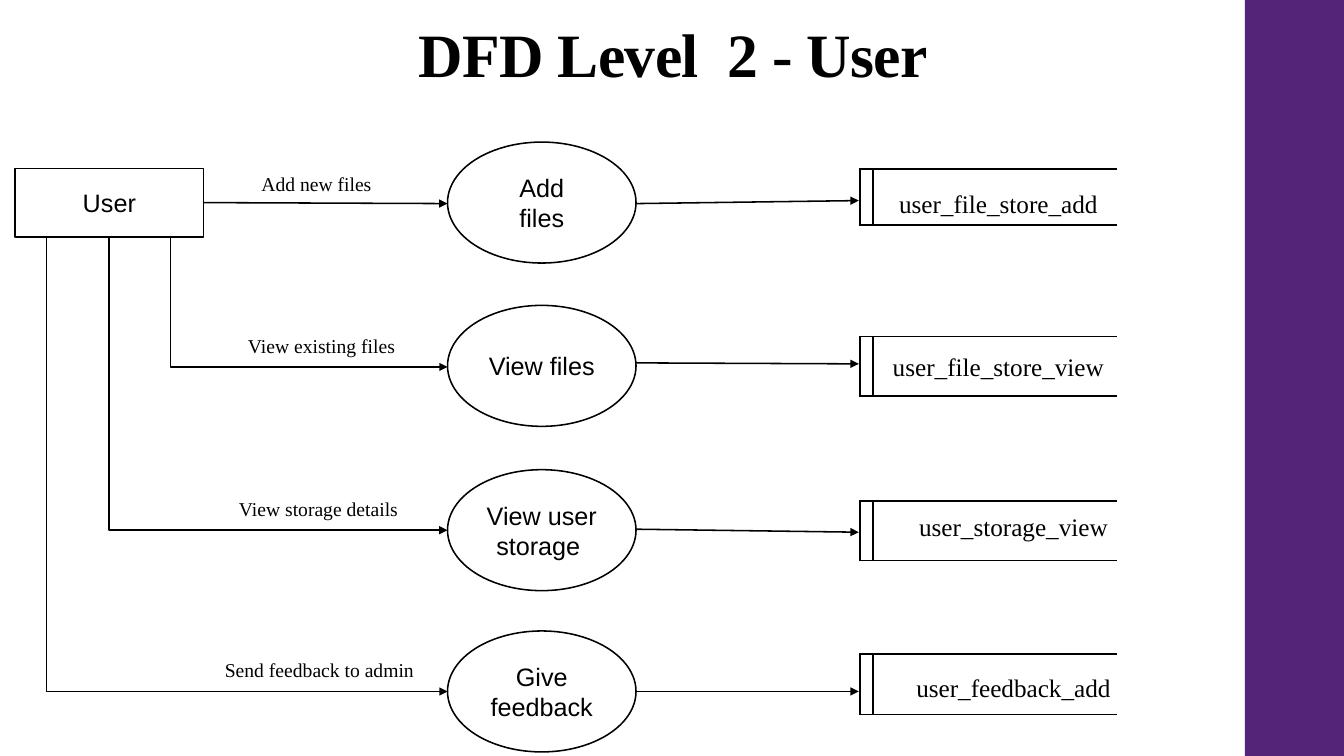
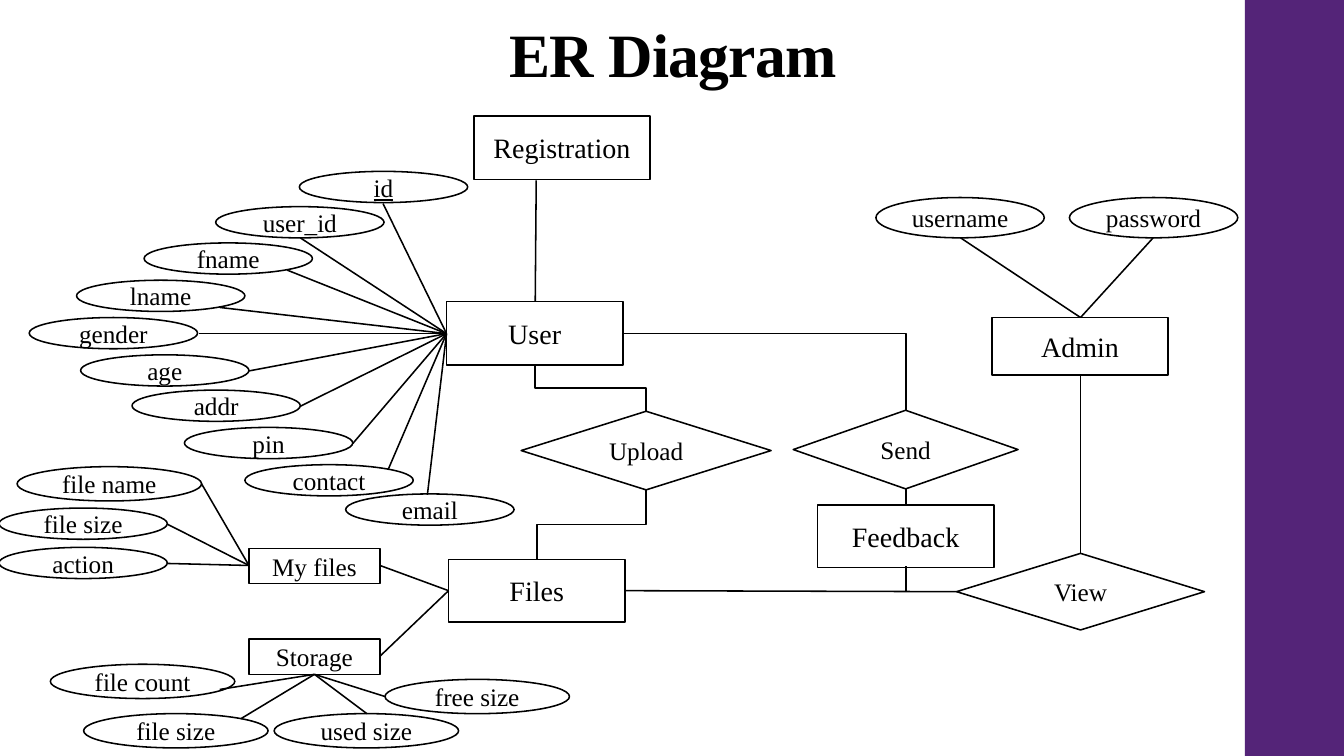
import pptx
import pptx.util
import pptx.dml.color
import pptx.enum.shapes
import pptx.enum.text
import pptx.oxml.ns
import lxml.etree

rgb = pptx.dml.color.RGBColor.from_string
qn = pptx.oxml.ns.qn
Pt = pptx.util.Pt
MSO = pptx.enum.shapes.MSO_SHAPE
ALIGN = pptx.enum.text.PP_ALIGN
ANCHOR = pptx.enum.text.MSO_ANCHOR
SERIF, SANS = "Times New Roman", "Arial"
BLACK, WHITE, PURPLE = "000000", "FFFFFF", "542478"
LINE_WIDTH = Pt(1.1)

prs = pptx.Presentation()
prs.slide_width = pptx.util.Emu(12192000)
prs.slide_height = pptx.util.Inches(7.5)
cell = prs.slide_height / 75
columns = prs.slide_width / cell


def node(s, kind, text, x, y, w, h, size=18, font=SERIF):
    box = [int(v * cell) for v in (x, y, w, h)]
    if kind is None:
        sp = s.shapes.add_textbox(*box)
    else:
        sp = s.shapes.add_shape(kind, *box)
        sp.shadow.inherit = False
        sp.fill.solid()
        sp.fill.fore_color.rgb = rgb(WHITE)
        sp.line.color.rgb = rgb(BLACK)
        sp.line.width = LINE_WIDTH
    tf = sp.text_frame
    tf.text = text
    frame = {"word_wrap": True, "vertical_anchor": ANCHOR.MIDDLE,
             "margin_left": 0, "margin_right": 0}
    for key, value in frame.items():
        setattr(tf, key, value)
    for p in tf.paragraphs:
        p.alignment = ALIGN.CENTER
        for r in p.runs:
            for key, value in {"name": font, "size": Pt(size)}.items():
                setattr(r.font, key, value)
            r.font.color.rgb = rgb(BLACK)
    return sp


def link(s, x1, y1, x2, y2, arrow=False, route="line", down=False):
    ends = x1, y1, x2, y2
    side = 1 if x2 > x1 else -1
    if down:
        cx, cy = (x1 + x2) / 2, (y1 + y2) / 2
        dx, dy = side * (y2 - y1) / 2, abs(x2 - x1) / 2
        ends = cx + dx, cy - dy, cx - dx, cy + dy
    c = s.shapes.add_connector(pptx.enum.shapes.MSO_CONNECTOR.STRAIGHT,
                               *[int(v * cell) for v in ends])
    c.line.color.rgb = rgb(BLACK)
    c.line.width = LINE_WIDTH
    pr = c.element.spPr
    pr.find(qn("a:prstGeom")).set("prst", route)
    if down:
        pr.find(qn("a:xfrm")).set("rot", str((270 if side > 0 else 90) * 60000))
    if arrow:
        lxml.etree.SubElement(pr.find(qn("a:ln")), qn("a:tailEnd"), type="triangle")
    lxml.etree.SubElement(pr, qn("a:effectLst"))


layout = prs.slide_layouts[5]
title = layout.placeholders[0]
place = {"left": 13.8, "top": 0.6, "width": 106, "height": 8.9}
for key, value in place.items():
    setattr(title, key, int(value * cell))
title.text_frame.vertical_anchor = ANCHOR.BOTTOM
title.text_frame.auto_size = pptx.enum.text.MSO_AUTO_SIZE.NONE

slides = []
for heading in ("DFD Level  2 - User", "ER Diagram"):
    s = prs.slides.add_slide(layout)
    s.shapes.title.text_frame.text = heading
    p = s.shapes.title.text_frame.paragraphs[0]
    p.alignment = ALIGN.CENTER
    p.line_spacing = 0.9
    r = p.runs[0]
    for key, value in {"name": SERIF, "size": Pt(44), "bold": True}.items():
        setattr(r.font, key, value)
    r.font.color.rgb = rgb(BLACK)
    r.font._element.set("spc", "-50")
    slides.append(s)
dfd, er = slides

band = node(dfd, MSO.RECTANGLE, "", 123.5, 0, columns - 123.5, 75)
band.fill.fore_color.rgb = rgb(PURPLE)
band.line.fill.background()
band.element.nvSpPr.cNvPr.set("id", "20")
layout.shapes.element.insert(2, band.element)

node(dfd, MSO.RECTANGLE, "User", 1.5, 16.7, 18.7, 6.8, font=SANS)
link(dfd, 20.2, 20.1, 44.4, 20.2, arrow=True)
for x, y in ((16.9, 36.4), (10.8, 52.6), (4.6, 68.6)):
    link(dfd, x, 23.5, 44.4, y, arrow=True, route="bentConnector2", down=True)

flows = [
    ("Add new files", 19.3, 17, "Add\nfiles", 14.1, 20.2, 19.9,
     "user_file_store_add", 82.8, 17.6, 16.75, 22.35),
    ("View existing files", 19.8, 33, "View files", 30.3, 36, 36.1,
     "user_file_store_view", 82.8, 33.8, 33.4, 39.3),
    ("View storage details", 19.5, 49.2, "View user storage ", 46.6, 52.5, 52.8,
     "user_storage_view", 84.3, 49.7, 49.7, 55.6),
    ("Send feedback to admin", 19.6, 65.2, "Give\nfeedback", 62.6, 68.6, 68.6,
     "user_feedback_add", 84.3, 65.6, 64.9, 70.9),
]
for label, lx, ly, process, py, y1, y2, store, tx, ty, top, bottom in flows:
    node(dfd, None, label, lx, ly, 24.2, 2.5, size=14)
    node(dfd, MSO.OVAL, process, 44.4, py, 18.7, 12, font=SANS)
    link(dfd, 63.1, y1, 85.2, y2, arrow=True)
    node(dfd, None, store, tx, ty, 32.5, 5.1)
    for x in (85.3, 86.6):
        link(dfd, x, top, x, bottom)
    for y in (top, bottom):
        link(dfd, 85.2, y, 110.8, y)

entities = [
    ("Registration", 47, 11.5, 17.5, 6.3, 20),
    ("User", 44.3, 29.9, 17.5, 6.3, 20),
    ("Admin", 98.4, 31.5, 17.5, 5.7, 20),
    ("Files", 44.5, 55.5, 17.5, 6.2, 20),
    ("Feedback", 81.1, 50.1, 17.5, 6.2, 20),
    ("My files", 24.7, 54.4, 13, 3.5, 18),
    ("Storage", 24.7, 63.4, 13, 3.5, 18),
]
for name, x, y, w, h, size in entities:
    node(er, MSO.RECTANGLE, name, x, y, w, h, size)

relations = [
    ("Upload", 51.7, 40.8, 24.8, 7.8),
    ("Send", 78.7, 40.7, 22.3, 7.8),
    ("View", 94.9, 54.9, 24.6, 7.6),
]
for name, x, y, w, h in relations:
    node(er, MSO.FLOWCHART_DECISION, name, x, y, w, h)

attributes = [
    (44.3, 33.1, 16.7, 3.1, [
        ("id", 29.7, 17, 38, 20.2), ("user_id", 21.4, 20.5, 29.8, 23.6),
        ("fname", 14.3, 24.1, 28.5, 26.8), ("lname", 7.6, 27.8, 21.8, 30.5),
        ("gender", 2.9, 31.5, 19.7, 33.1), ("age", 8, 35.2, 24.7, 36.8),
        ("addr", 13.1, 38.7, 29.8, 40.3), ("pin", 18.3, 42.4, 35, 44),
        ("contact", 24.3, 46.1, 38.5, 46.6), ("email", 34.3, 49, 42.4, 49.1)]),
    (107.2, 31.5, 16.7, 4, [
        ("username", 86.9, 19.6, 95.3, 23.6), ("password", 106.1, 19.6, 114.4, 23.6)]),
    (24.7, 56.1, 18.3, 3.4, [("file name", 1.7, 46.3, 20, 48)]),
    (24.7, 56.1, 16.7, 3.1, [
        ("file size", -0.1, 50.4, 16.6, 52), ("action", -0.1, 54.3, 16.6, 55.9)]),
    (31.2, 66.9, 18.3, 3.4, [
        ("file count", 5, 65.9, 21.8, 68.4), ("file size", 8.3, 70.8, 23.9, 71.3),
        ("used size", 27.2, 70.8, 36.4, 70.8), ("free size", 38.2, 67.4, 38.2, 69.1)]),
]
for hub_x, hub_y, w, h, ovals in attributes:
    for name, x, y, end_x, end_y in ovals:
        sp = node(er, MSO.OVAL, name, x, y, w, h)
        if name == "id":
            sp.text_frame.paragraphs[0].runs[0].font.underline = True
        link(er, end_x, end_y, hub_x, hub_y)

straight = [
    (53.2, 17.9, 53.1, 29.9), (62.1, 58.6, 94.9, 58.7), (107.2, 54.9, 107.2, 37.1),
    (89.9, 50.1, 89.9, 48.5), (89.9, 58.7, 89.9, 56.2),
    (37.7, 56.1, 44.5, 58.6), (37.7, 65.1, 44.5, 58.6),
]
for ends in straight:
    link(er, *ends)
for ends in ((53.1, 36.2, 64.1, 40.8), (64.1, 48.6, 53.3, 55.5)):
    link(er, *ends, route="bentConnector3", down=True)
link(er, 61.9, 33.1, 89.9, 40.7, route="bentConnector2")

prs.save("out.pptx")
